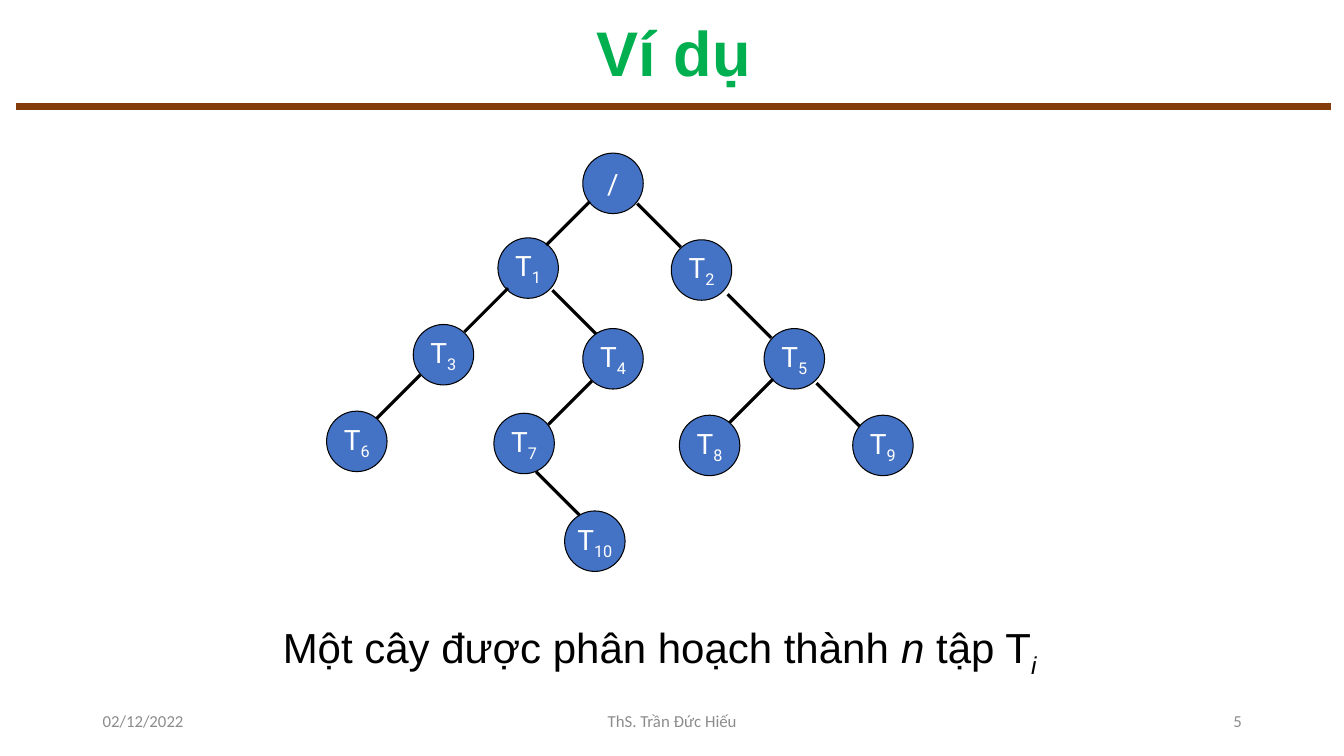
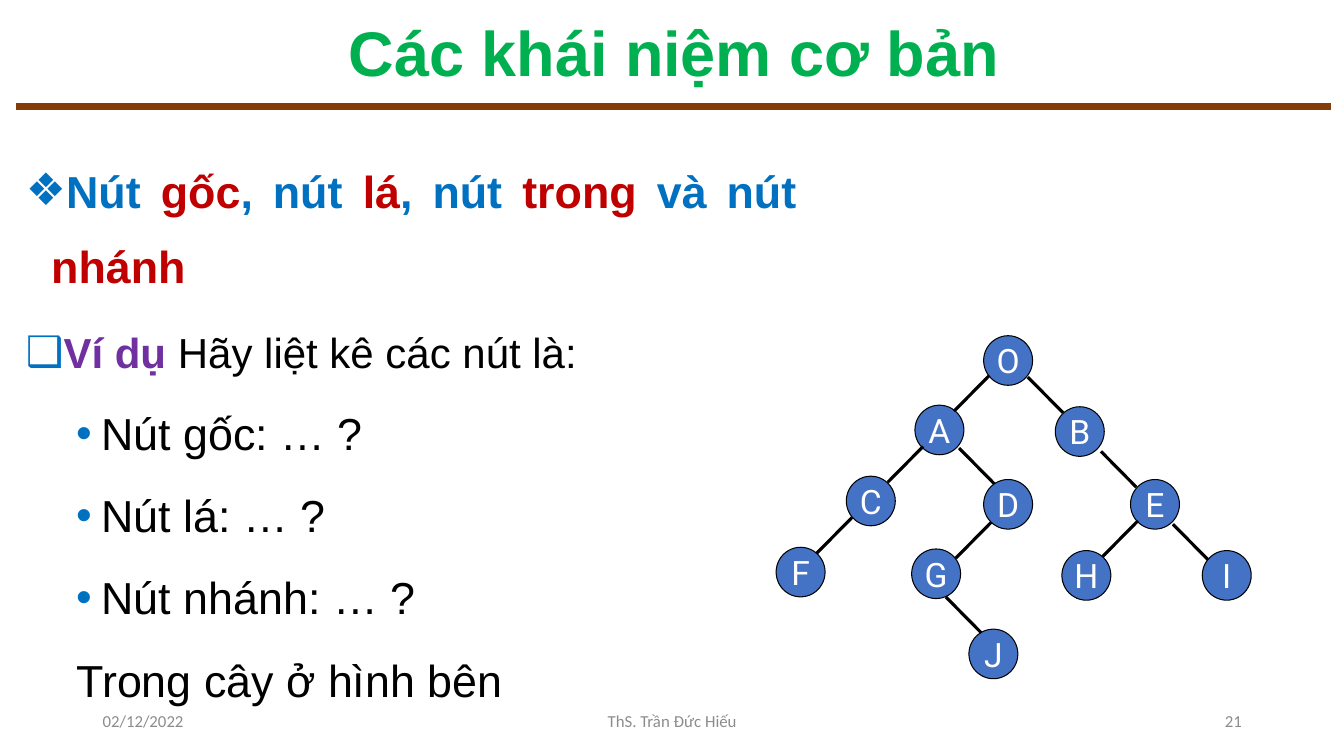
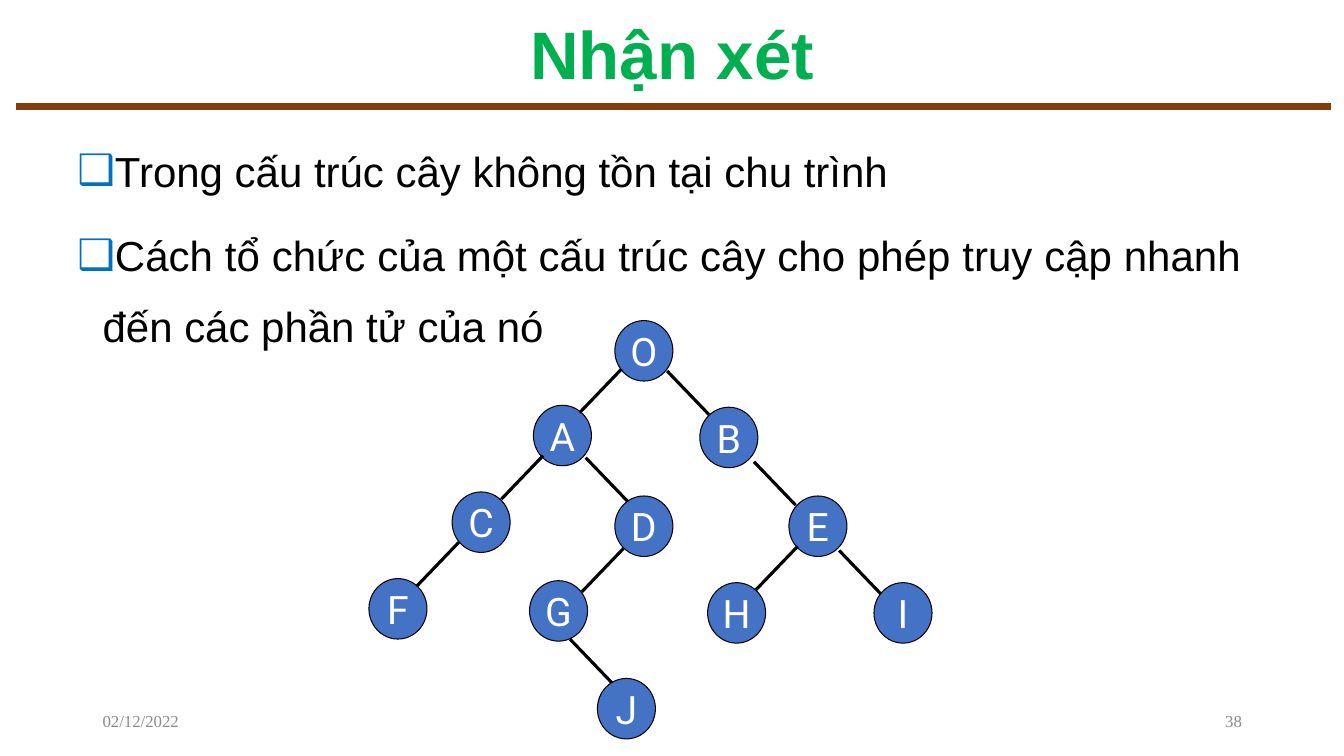
from dataclasses import dataclass
from typing import NamedTuple

from lxml.etree import SubElement
from pptx import Presentation
from pptx.dml.color import RGBColor
from pptx.enum.shapes import MSO_CONNECTOR, MSO_SHAPE
from pptx.enum.text import MSO_ANCHOR, PP_ALIGN
from pptx.oxml.ns import qn
from pptx.util import Pt

GREEN, BROWN, GREY = "00B050", "843C0B", "8C8C8C"
BLUE, RED, PURPLE = "0070C0", "C00000", "7030A0"
BLACK, WHITE, NODE_FILL = "000000", "FFFFFF", "4472C4"
DATE, AUTHOR = "02/12/2022", "ThS. Trần Đức Hiếu"
NODE_SIZE, BRANCH_REACH = 43.2, 31.1


class Box(NamedTuple):
    left: float
    top: float
    width: float
    height: float


WIDE_TITLE = Box(11.5, 10.8, 939.6, 58.3)
FOOTER_TOP, FOOTER_HEIGHT = 500.4, 28.8


@dataclass(frozen=True)
class Run:
    text: str
    size: float
    color: str = BLACK
    font: str = "Arial"
    bold: bool = False
    italic: bool = False
    subscript: bool = False


@dataclass(frozen=True)
class Para:
    runs: list[Run]
    align: PP_ALIGN = PP_ALIGN.JUSTIFY
    line_spacing: float = 1.4
    before: float = 10
    bullet: str = ""
    margin: float = 0
    level: int = 0


class Node(NamedTuple):
    """Node of the full-size tree; a branch starts at an offset in the node's box."""
    x: float
    y: float
    left_branch: tuple[float, float] | None = None
    right_branch: tuple[float, float] | None = None


TREE_NODES = [
    Node(183, 0, (5, 34.6), (38.9, 36)),
    Node(122.4, 60.5, (7.2, 36), (38.9, 37.4)),
    Node(246.2, 61.9, None, (40.3, 38.9)),
    Node(61.9, 122.4, (5, 36)),
    Node(183, 125.3, (6.5, 37.4)),
    Node(312.5, 125.3, (6.5, 36), (37.4, 38.9)),
    Node(0, 184.3),
    Node(119.5, 185.8, None, (30.2, 41.8)),
    Node(252, 187.2),
    Node(375.8, 187.2),
    Node(170, 255.6),
]


def rgb(color: str) -> RGBColor:
    return RGBColor.from_string(color)


def add_run(paragraph, spec: Run) -> None:
    run = paragraph.add_run()
    run.text = spec.text
    font = run.font
    font.name, font.size = spec.font, Pt(spec.size)
    font.bold, font.italic = spec.bold, spec.italic
    font.color.rgb = rgb(spec.color)
    if spec.subscript:
        font._element.set("baseline", "-25000")


def add_bullet(paragraph, char: str) -> None:
    paragraph_props = paragraph._p.get_or_add_pPr()
    paragraph_props.set("indent", str(Pt(-18)))
    color = SubElement(paragraph_props, qn("a:buClr"))
    SubElement(color, qn("a:srgbClr")).set("val", BLUE)
    SubElement(paragraph_props, qn("a:buFont")).set("typeface", "Arial")
    SubElement(paragraph_props, qn("a:buChar")).set("char", char)


def fill_text(frame, paras: list[Para]) -> None:
    for index, para in enumerate(paras):
        paragraph = frame.add_paragraph() if index else frame.paragraphs[0]
        paragraph.alignment = para.align
        paragraph.line_spacing = para.line_spacing
        paragraph.space_before = Pt(para.before)
        paragraph.level = para.level
        paragraph_props = paragraph._p.get_or_add_pPr()
        paragraph_props.set("marL", str(Pt(para.margin)))
        paragraph_props.set("indent", "0")
        if para.bullet:
            add_bullet(paragraph, para.bullet)
        for run in para.runs:
            add_run(paragraph, run)


def add_text(slide, box: Box, paras: list[Para], anchor=MSO_ANCHOR.TOP) -> None:
    frame = slide.shapes.add_textbox(*map(Pt, box)).text_frame
    frame.word_wrap = True
    frame.vertical_anchor = anchor
    fill_text(frame, paras)


def add_line(shapes, start: tuple[float, float], end: tuple[float, float],
             color: str, width: float) -> None:
    line = shapes.add_connector(MSO_CONNECTOR.STRAIGHT, *map(Pt, (*start, *end)))
    line.line.color.rgb = rgb(color)
    line.line.width = Pt(width)
    SubElement(line._element.spPr, qn("a:effectLst"))


def add_base(deck, title: str, number: int, author: str = AUTHOR, font: str = "Calibri",
             title_box: Box = WIDE_TITLE, title_size: float = 45):
    """Add a slide with the shared title, rule and footer."""
    slide = deck.slides.add_slide(deck.slide_layouts[6])
    add_line(slide.shapes, (11.5, 76.3), (951.1, 76.3), BROWN, 5)
    heading = Run(title, title_size, GREEN, bold=True)
    add_text(slide, title_box, [Para([heading], PP_ALIGN.CENTER, 0.9, 0)], MSO_ANCHOR.MIDDLE)
    footers = [(66.2, 216, DATE, PP_ALIGN.LEFT),
               (318.2, 324, author, PP_ALIGN.CENTER),
               (678.2, 216, str(number), PP_ALIGN.RIGHT)]
    for left, width, text, align in footers:
        if text:
            add_text(slide, Box(left, FOOTER_TOP, width, FOOTER_HEIGHT),
                     [Para([Run(text, 12, GREY, font)], align, 1, 0)], MSO_ANCHOR.MIDDLE)
    return slide


def add_tree(slide, origin: tuple[float, float], scale: tuple[float, float],
             labels: list[list[Run]]) -> None:
    """Draw the tree scaled about its top left corner, labelled level by level."""
    shapes = slide.shapes.add_group_shape().shapes

    def place(x: float, y: float) -> tuple[float, float]:
        return origin[0] + x * scale[0], origin[1] + y * scale[1]

    for node, label in zip(TREE_NODES, labels):
        size = (NODE_SIZE * scale[0], NODE_SIZE * scale[1])
        circle = shapes.add_shape(MSO_SHAPE.OVAL, *map(Pt, (*place(node.x, node.y), *size)))
        circle.shadow.inherit = False
        circle.fill.solid()
        circle.fill.fore_color.rgb = rgb(NODE_FILL)
        circle.line.color.rgb = rgb(BLACK)
        circle.line.width = Pt(0.75)
        circle.text_frame.word_wrap = False
        circle.text_frame.vertical_anchor = MSO_ANCHOR.MIDDLE
        fill_text(circle.text_frame, [Para(label, PP_ALIGN.CENTER, 1, 0)])

    for node in TREE_NODES:
        for branch, side in ((node.left_branch, -1), (node.right_branch, 1)):
            if branch:
                x, y = node.x + branch[0], node.y + branch[1]
                add_line(shapes, place(x, y),
                         place(x + side * BRANCH_REACH, y + BRANCH_REACH), BLACK, 2.25)


def letter_labels(size: float) -> list[list[Run]]:
    return [[Run(letter, size, WHITE, "Roboto")] for letter in "OABCDEFGHIJ"]


def subset_labels(size: float) -> list[list[Run]]:
    subsets = [[Run("T", size, WHITE, "Roboto"),
                Run(str(index), size, WHITE, "Roboto", subscript=True)]
               for index in range(1, len(TREE_NODES))]
    return [[Run("/", size, WHITE, "Roboto")], *subsets]


def build_example(deck) -> None:
    slide = add_base(deck, "Ví dụ", 5)
    add_tree(slide, (233.3, 109.4), (1, 1), subset_labels(20))
    caption = [Run("Một cây được phân hoạch thành ", 30), Run("n", 30, italic=True),
               Run(" tập T", 30), Run("i", 30, italic=True, subscript=True)]
    add_text(slide, Box(48.2, 424.1, 846, 87.1), [Para(caption, PP_ALIGN.CENTER)])


def build_concepts(deck) -> None:
    slide = add_base(deck, "Các khái niệm cơ bản", 21)
    terms = [("Nút ", BLUE), ("gốc", RED), (", nút ", BLUE), ("lá", RED),
             (", nút ", BLUE), ("trong", RED), (" và nút ", BLUE), ("nhánh", RED)]
    questions = ["Nút gốc: … ?", "Nút lá: … ?", "Nút nhánh: … ?"]
    add_text(slide, Box(11.5, 97.9, 564.5, 435.6), [
        Para([Run(text, 32, color, bold=True) for text, color in terms],
             bullet="❖", margin=18),
        Para([Run("Ví dụ ", 30, PURPLE, bold=True), Run("Hãy liệt kê các nút là:", 30)],
             bullet="❑", margin=18, level=1),
        *[Para([Run(question, 32)], before=5, bullet="•", margin=54, level=1)
          for question in questions],
        Para([Run("Trong cây ở hình bên", 32)], before=5, margin=36, level=1),
    ])
    add_tree(slide, (554.4, 239.8), (0.81, 0.82), letter_labels(24))


def build_remarks(deck) -> None:
    slide = add_base(deck, "Nhận xét", 38, author="", font="Times New Roman",
                     title_box=Box(66.2, 12.2, 828, 58.3), title_size=48)
    remarks = ["Trong cấu trúc cây không tồn tại chu trình",
               "Cách tổ chức của một cấu trúc cây cho phép truy cập nhanh "
               "đến các phần tử của nó"]
    add_text(slide, Box(48.2, 85.7, 846, 425.5),
             [Para([Run(remark, 30)], bullet="❑", margin=18) for remark in remarks])
    add_tree(slide, (263.5, 229), (0.96, 1), letter_labels(28))


def main() -> None:
    deck = Presentation()
    deck.slide_width, deck.slide_height = Pt(960), Pt(540)
    build_example(deck)
    build_concepts(deck)
    build_remarks(deck)
    deck.save("out.pptx")


if __name__ == "__main__":
    main()
